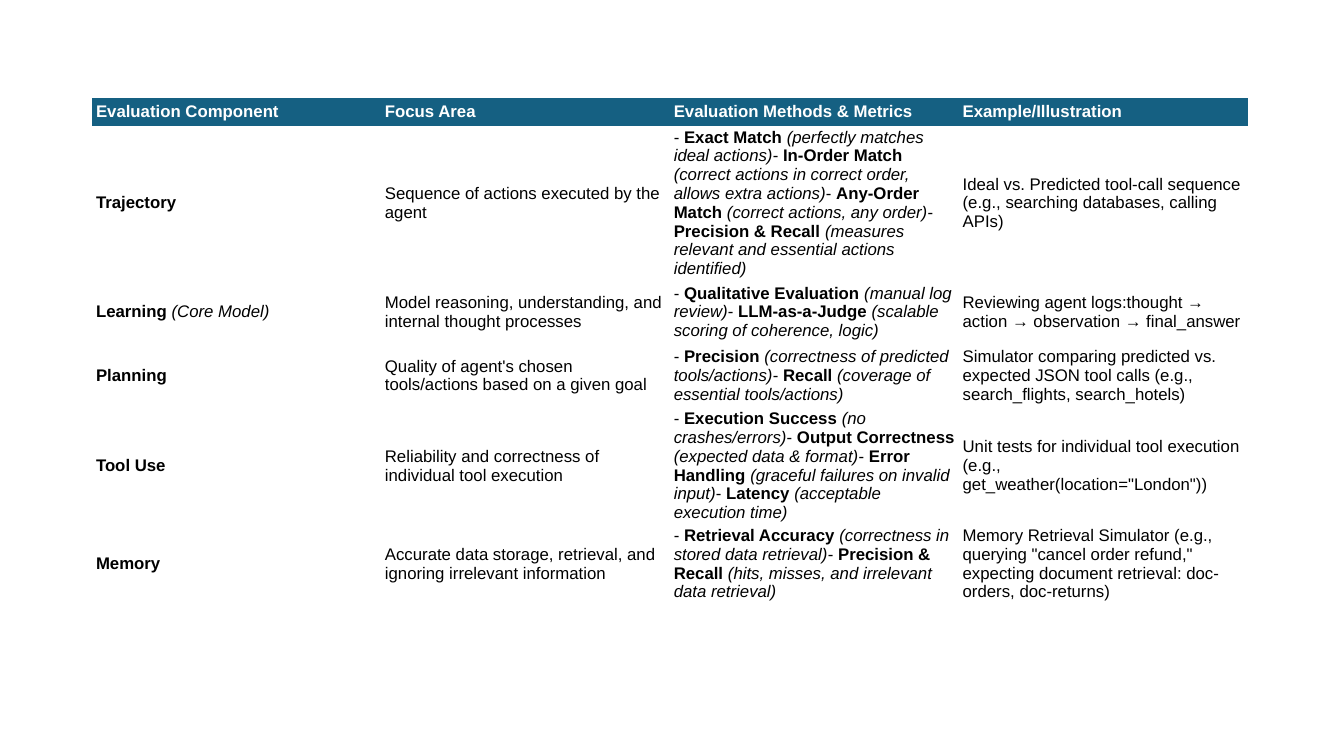
from pptx import Presentation
from pptx.dml.color import RGBColor
from pptx.enum.text import MSO_ANCHOR
from pptx.util import Cm, Pt

TEAL = RGBColor(0x15, 0x60, 0x82)
WHITE = RGBColor(0xFF, 0xFF, 0xFF)
BLACK = RGBColor(0x00, 0x00, 0x00)
MIDDLE = MSO_ANCHOR.MIDDLE
NO_GRID = "{2D5ABB26-0587-4C30-8999-92F81FD0307C}"

CELL = {
    "margin_left": Cm(0.1), "margin_right": Cm(0.1),
    "margin_top": Cm(0.05), "margin_bottom": Cm(0.05),
    "vertical_anchor": MIDDLE,
}
FONT = {"name": "Arial", "size": Pt(12)}
PLAIN = {"bold": False, "italic": False}
BOLD = {"bold": True, "italic": False}
ITALIC = {"bold": False, "italic": True}

HEADS = ["Evaluation Component", "Focus Area",
         "Evaluation Methods & Metrics", "Example/Illustration"]

# Height in cm, component, its note, focus, methods with notes, example
PARTS = [
    (3.43, "Trajectory", "",
     "Sequence of actions executed by the agent",
     [("Exact Match", "(perfectly matches ideal actions)"),
      ("In-Order Match",
       "(correct actions in correct order, allows extra actions)"),
      ("Any-Order Match", "(correct actions, any order)"),
      ("Precision & Recall",
       "(measures relevant and essential actions identified)")],
     "Ideal vs. Predicted tool-call sequence "
     "(e.g., searching databases, calling APIs)"),
    (1.6, "Learning", "(Core Model)",
     "Model reasoning, understanding, and internal thought processes",
     [("Qualitative Evaluation", "(manual log review)"),
      ("LLM-as-a-Judge", "(scalable scoring of coherence, logic)")],
     "Reviewing agent logs:thought → action → observation → final_answer"),
    (1.6, "Planning", "",
     "Quality of agent's chosen tools/actions based on a given goal",
     [("Precision", "(correctness of predicted tools/actions)"),
      ("Recall", "(coverage of essential tools/actions)")],
     "Simulator comparing predicted vs. expected JSON tool calls "
     "(e.g., search_flights, search_hotels)"),
    (2.82, "Tool Use", "",
     "Reliability and correctness of individual tool execution",
     [("Execution Success", "(no crashes/errors)"),
      ("Output Correctness", "(expected data & format)"),
      ("Error Handling", "(graceful failures on invalid input)"),
      ("Latency", "(acceptable execution time)")],
     "Unit tests for individual tool execution "
     "(e.g., get_weather(location=\"London\"))"),
    (1.91, "Memory", "",
     "Accurate data storage, retrieval, and ignoring irrelevant information",
     [("Retrieval Accuracy", "(correctness in stored data retrieval)"),
      ("Precision & Recall", "(hits, misses, and irrelevant data retrieval)")],
     "Memory Retrieval Simulator (e.g., querying \"cancel order refund,\" "
     "expecting document retrieval: doc-orders, doc-returns)"),
]


def style(item, values):
    for key, value in values.items():
        setattr(item, key, value)


def write(cell, runs, color):
    """Fill a cell with runs given as pairs of text and font values."""
    style(cell, CELL)
    para = cell.text_frame.paragraphs[0]
    for text, look in runs:
        run = para.add_run()
        run.text = text
        style(run.font, {**FONT, **look})
        run.font.color.rgb = color


prs = Presentation()
prs.slide_width, prs.slide_height = Cm(33.87), Cm(19.05)
slide = prs.slides.add_slide(prs.slide_layouts[6])

heights = [0.71] + [part[0] for part in PARTS]
frame = slide.shapes.add_table(len(heights), len(HEADS), Cm(2.32), Cm(2.46),
                               Cm(29.12), Cm(sum(heights)))
table = frame.table
table.first_row = True
table.horz_banding = False
table._tbl.tblPr[0].text = NO_GRID
for col in table.columns:
    col.width = Cm(7.28)
for row, height in zip(table.rows, heights):
    row.height = Cm(height)

for cell, head in zip(table.rows[0].cells, HEADS):
    write(cell, [(head, BOLD)], WHITE)
    cell.fill.solid()
    cell.fill.fore_color.rgb = TEAL

for i, (height, name, note, focus, methods, sample) in enumerate(PARTS, 1):
    title = [(name + " ", BOLD), (note, ITALIC)] if note else [(name, BOLD)]
    metrics = []
    for label, detail in methods:
        metrics += [("- ", PLAIN), (label + " ", BOLD), (detail, ITALIC)]
    texts = [title, [(focus, PLAIN)], metrics, [(sample, PLAIN)]]
    for cell, runs in zip(table.rows[i].cells, texts):
        write(cell, runs, BLACK)
        cell.fill.background()

prs.save("out.pptx")
